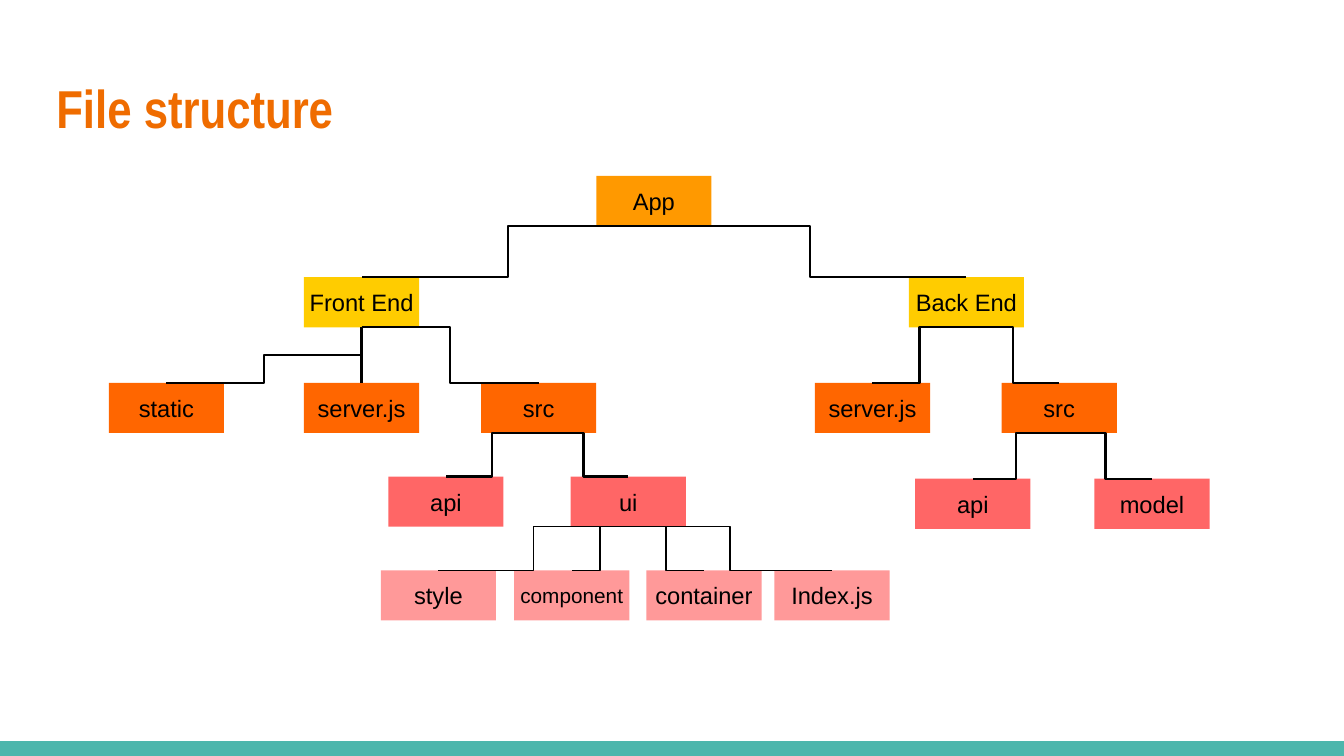
from pptx import Presentation
from pptx.dml.color import RGBColor
from pptx.enum.shapes import MSO_CONNECTOR as LINK, MSO_SHAPE as SHAPE
from pptx.enum.text import MSO_ANCHOR as ANCHOR, PP_ALIGN as ALIGN
from pptx.oxml.ns import qn
from pptx.util import Inches, Pt
from lxml.etree import SubElement

COLORS = {
    "title": "EF6C00", "footer": "4DB6AC", "ink": "000000",
    "root": "FF9900", "side": "FFCC00", "entry": "FF6600",
    "module": "FF6666", "part": "FF9999",
}
LEVELS = ["root", "side", "entry", "module", "part"]
BOX_W, BOX_H = 1.08, 0.47

# Each node: label, left, top, children
UI = ("ui", 5.35, 4.47, [
    ("style", 3.57, 5.35, []),
    ("component", 4.82, 5.35, []),
    ("container", 6.06, 5.35, []),
    ("Index.js", 7.26, 5.35, []),
])
FRONT_END = ("Front End", 2.85, 2.6, [
    ("static", 1.02, 3.59, []),
    ("server.js", 2.85, 3.59, []),
    ("src", 4.51, 3.59, [("api", 3.64, 4.47, []), UI]),
])
BACK_END = ("Back End", 8.52, 2.6, [
    ("server.js", 7.64, 3.59, []),
    ("src", 9.39, 3.59, [("api", 8.58, 4.49, []), ("model", 10.26, 4.49, [])]),
])
APP = ("App", 5.59, 1.65, [FRONT_END, BACK_END])


class TreeSlide:
    def __init__(self, slide):
        self.shapes = slide.shapes

    def color(self, name):
        return RGBColor.from_string(COLORS[name])

    def font(self, paragraph, size, color="ink", face="Arial", bold=False):
        font = paragraph.font
        font.name, font.size, font.bold = face, Pt(size), bold
        font.color.rgb = self.color(color)

    def rect(self, left, top, width, height, fill):
        rect = self.shapes.add_shape(
            SHAPE.RECTANGLE, Inches(left), Inches(top), Inches(width), Inches(height))
        rect.shadow.inherit = False
        rect.fill.solid()
        rect.fill.fore_color.rgb = self.color(fill)
        rect.line.fill.background()
        return rect

    def title(self, text, left, top, width, height):
        heading = self.shapes.add_textbox(
            Inches(left), Inches(top), Inches(width), Inches(height))
        frame = heading.text_frame
        frame.word_wrap = True
        frame.margin_top = frame.margin_bottom = Inches(0.1)
        frame.text = text
        self.font(frame.paragraphs[0], 36, "title", "Arial Narrow", True)

    def node(self, label, left, top, level):
        box = self.rect(left, top, BOX_W, BOX_H, LEVELS[level])
        frame = box.text_frame
        frame.word_wrap = False
        frame.vertical_anchor = ANCHOR.MIDDLE
        frame.text = label
        paragraph = frame.paragraphs[0]
        paragraph.alignment = ALIGN.CENTER
        self.font(paragraph, 14 if label == "component" else 16)
        return box

    def link(self, parent, child, width, drop=0):
        """Join two boxes; drop lowers the start below the parent."""
        start_x = parent.left + parent.width // 2
        end_x = child.left + child.width // 2
        straight = start_x == end_x
        line = self.shapes.add_connector(
            LINK.STRAIGHT if straight else LINK.ELBOW,
            start_x, parent.top + parent.height + Inches(drop), end_x, child.top)
        if straight:
            line.begin_connect(parent, 2)
            line.end_connect(child, 0)
        line.line.color.rgb = self.color("ink")
        line.line.width = Pt(width)
        SubElement(line._element.spPr, qn("a:effectLst"))

    def tree(self, node, level=0):
        """Draw the boxes of a branch; return its top box and its links."""
        label, left, top, children = node
        box = self.node(label, left, top, level)
        links = []
        for child in children:
            child_box, child_links = self.tree(child, level + 1)
            drop = 0.26 if child[0] == "static" else 0
            links += [(box, child_box, 1 if level == 3 else 1.5, drop)] + child_links
        return box, links


def main():
    deck = Presentation()
    deck.slide_width, deck.slide_height = Inches(12.6), Inches(7.09)
    page = TreeSlide(deck.slides.add_slide(deck.slide_layouts[6]))

    # Footer band and title
    page.rect(0, 6.95, 12.6, 0.14, "footer")
    page.title("File structure", 0.43, 0.61, 11.74, 0.97)

    # Boxes first, then the lines on top
    _, links = page.tree(APP)
    for link in links:
        page.link(*link)

    deck.save("out.pptx")


if __name__ == "__main__":
    main()
